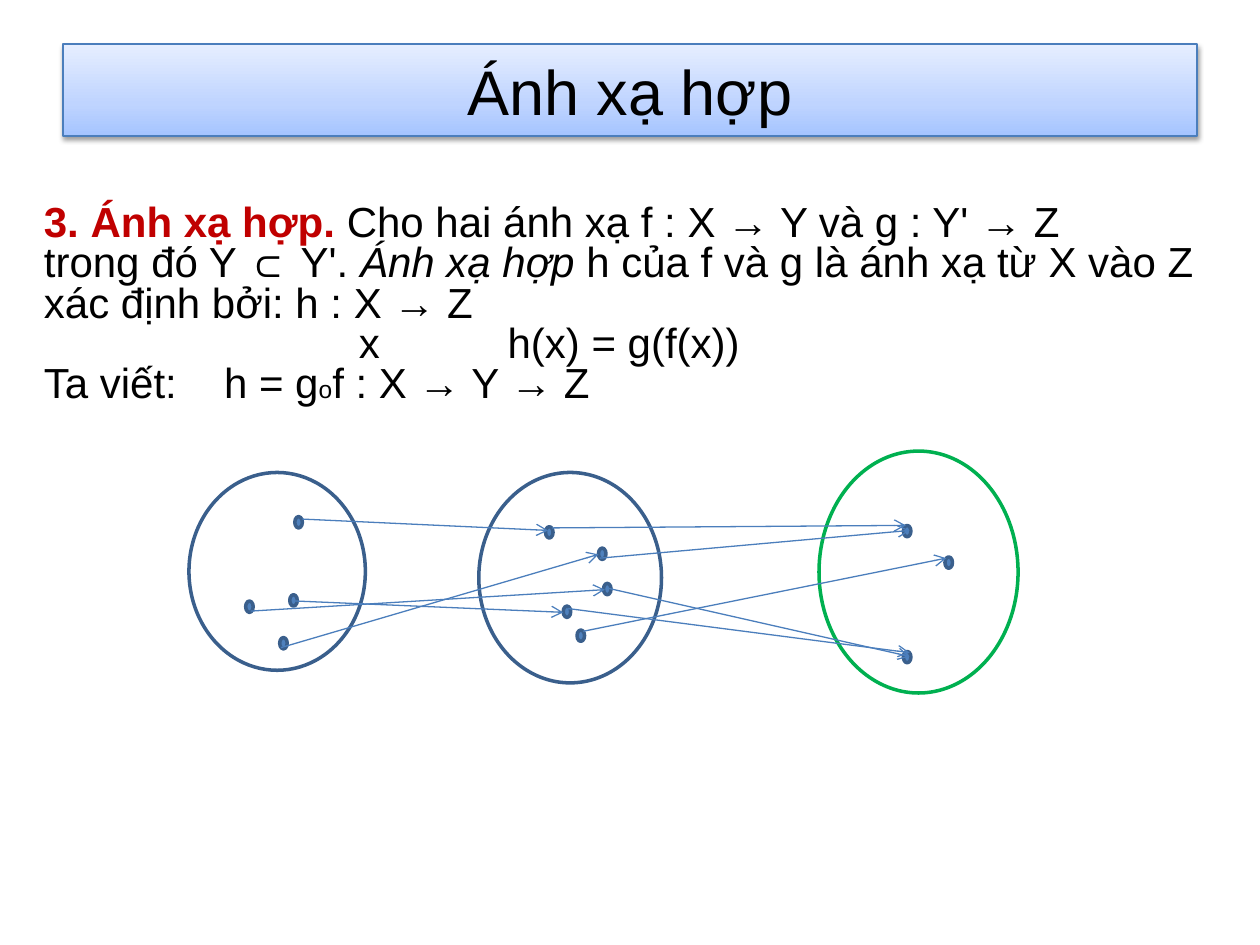
from lxml import etree
from pptx import Presentation
from pptx.dml.color import RGBColor
from pptx.enum.shapes import MSO_CONNECTOR, MSO_SHAPE
from pptx.enum.text import MSO_ANCHOR, MSO_AUTO_SIZE, PP_ALIGN
from pptx.oxml.ns import qn
from pptx.util import Inches, Pt

STRAIGHT = MSO_CONNECTOR.STRAIGHT
OVAL = MSO_SHAPE.OVAL
MIDDLE = MSO_ANCHOR.MIDDLE
NO_FIT = MSO_AUTO_SIZE.NONE
CENTER = PP_ALIGN.CENTER
TITLE_ONLY = 5

FONT = "Arial"
BLACK, WHITE, RED = "000000", "FFFFFF", "C00000"
BLUE, NAVY, ARROW, GREEN = "4F81BD", "3A5F8C", "4B7EBC", "00B050"
DOT_W, DOT_H = 0.06, 0.09


def rgb(color):
    return RGBColor.from_string(color)


def child(parent, tag, **attrs):
    return etree.SubElement(parent, qn(tag), {k: str(v) for k, v in attrs.items()})


def place(sp, box):
    sp.left, sp.top, sp.width, sp.height = (Inches(v) for v in box)


def add_run(p, text, size=24, color=BLACK, bold=False, italic=False):
    r = p.add_run()
    r.text = text
    r.font.name, r.font.size = FONT, Pt(size)
    r.font.bold, r.font.italic = bold, italic
    r.font.color.rgb = rgb(color)


def set_line(line, color, width):
    line.color.rgb = rgb(color)
    line.width = Pt(width)


def add_title(slide, box, text):
    sp = slide.shapes.title
    place(sp, box)
    # Gradient from dark at the bottom to light at the top
    sp.fill.gradient()
    sp.fill.gradient_angle = 90
    stops = sp._element.spPr.find(".//" + qn("a:gsLst"))
    for old in list(stops):
        stops.remove(old)
    for pos, color in ((0, "A4C4FF"), (35, "BFD4FF"), (100, "E6EEFF")):
        child(child(stops, "a:gs", pos=pos * 1000), "a:srgbClr", val=color)
    set_line(sp.line, ARROW, 0.75)
    # Soft shadow below
    effects = child(sp._element.spPr, "a:effectLst")
    shadow = child(effects, "a:outerShdw", blurRad=Pt(3.1), dist=Pt(1.6),
                   dir=5400000, rotWithShape=0)
    child(child(shadow, "a:srgbClr", val=BLACK), "a:alpha", val=38000)
    tf = sp.text_frame
    tf.auto_size, tf.vertical_anchor = NO_FIT, MIDDLE
    p = tf.paragraphs[0]
    p.alignment = CENTER
    add_run(p, text, size=36)


def add_definition(slide, box, paragraphs):
    sp = slide.shapes.add_textbox(*(Inches(v) for v in box))
    tf = sp.text_frame
    tf.word_wrap = True
    for i, (tabs, runs) in enumerate(paragraphs):
        p = tf.paragraphs[0] if i == 0 else tf.add_paragraph()
        p.line_spacing = 0.8
        if tabs:
            tab_list = child(p._p.get_or_add_pPr(), "a:tabLst")
            for pos in tabs:
                child(tab_list, "a:tab", pos=Inches(pos), algn="l")
        for text, style in runs:
            add_run(p, text, **style)


def add_oval(slide, box, fill, line):
    sp = slide.shapes.add_shape(OVAL, *(Inches(v) for v in box))
    sp.shadow.inherit = False
    sp.fill.solid()
    sp.fill.fore_color.rgb = rgb(fill)
    set_line(sp.line, line, 2)


def add_arrow(slide, start, end):
    cx = slide.shapes.add_connector(STRAIGHT, *(Inches(v) for v in start + end))
    set_line(cx.line, ARROW, 0.75)
    child(cx.line._get_or_add_ln(), "a:tailEnd", type="arrow")
    child(cx._element.spPr, "a:effectLst")


def add_mapping(slide, box, sets, dots, arrows):
    """Draw sets, elements and arrows, measured from the box corner."""
    x0, y0 = box[:2]
    for (x, y, w, h), color in sets:
        add_oval(slide, (x0 + x, y0 + y, w, h), WHITE, color)
    for x, y in dots:
        add_oval(slide, (x0 + x, y0 + y, DOT_W, DOT_H), BLUE, NAVY)
    for x1, y1, x2, y2 in arrows:
        add_arrow(slide, (x0 + x1, y0 + y1), (x0 + x2, y0 + y2))


DEFINITION = [
    ((), [("3. Ánh xạ hợp. ", {"color": RED, "bold": True}),
          ("Cho hai ánh xạ f : X → Y và g : Y' → Z", {})]),
    ((), [("trong đó Y ⊂ Y'. ", {}),
          ("Ánh xạ hợp ", {"italic": True}),
          ("h của f và g là ánh xạ từ X vào Z xác định bởi: h : X → Z", {})]),
    ((2.5, 3.68), [("\tx\th(x) = g(f(x))", {})]),
    ((1.43,), [("Ta viết:\th = g", {}), ("o", {"size": 14}),
               ("f : X → Y → Z", {})]),
]

SETS = [
    ((0, 0.17, 1.4, 1.57), NAVY),
    ((2.3, 0.17, 1.45, 1.67), NAVY),
    ((5, 0, 1.58, 1.92), GREEN),
]
DOTS = [
    (0.84, 0.52), (0.8, 1.14), (0.45, 1.19), (0.72, 1.48),                # X
    (2.83, 0.6), (3.25, 0.77), (3.29, 1.05), (2.97, 1.23), (3.08, 1.42),  # Y
    (5.67, 0.59), (6, 0.84), (5.67, 1.59),                                # Z
]
ARROWS = [
    # f : X → Y
    (0.9, 0.54, 2.85, 0.63), (0.84, 1.19, 2.97, 1.28),
    (0.73, 1.56, 3.25, 0.82), (0.49, 1.27, 3.3, 1.1),
    # g : Y' → Z
    (2.88, 0.61, 5.69, 0.59), (3.26, 0.85, 5.72, 0.63),
    (3.33, 1.09, 5.72, 1.63), (3.13, 1.43, 6.01, 0.85),
    (3.01, 1.25, 5.72, 1.6),
]


def main():
    prs = Presentation()
    prs.slide_width, prs.slide_height = Inches(10), Inches(7.5)
    slide = prs.slides.add_slide(prs.slide_layouts[TITLE_ONLY])
    add_title(slide, (0.5, 0.35, 9, 0.73), "Ánh xạ hợp")
    add_definition(slide, (0.25, 1.58, 9.75, 1.72), DEFINITION)
    add_mapping(slide, (1.5, 3.58, 6.58, 1.92), SETS, DOTS, ARROWS)
    prs.save("out.pptx")


if __name__ == "__main__":
    main()
